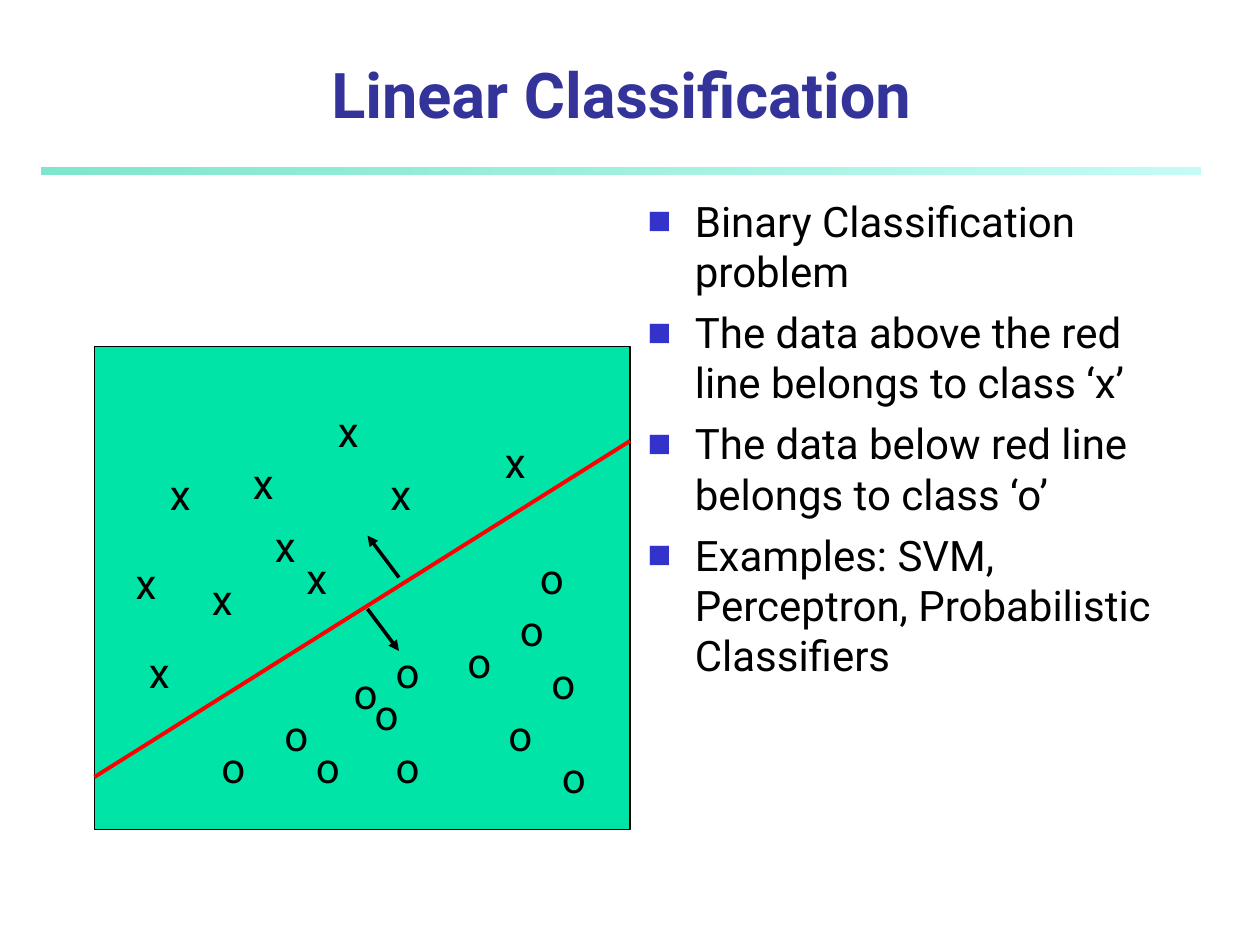
import pptx
import pptx.dml.color
import pptx.enum.shapes
import pptx.enum.text
import pptx.oxml
import pptx.oxml.ns
import pptx.util
from lxml import etree

Pt = pptx.util.Pt
ALIGN = pptx.enum.text.PP_ALIGN
ANCHOR = pptx.enum.text.MSO_ANCHOR
RECTANGLE = pptx.enum.shapes.MSO_SHAPE.RECTANGLE

FONT = "Roboto"
COLORS = {
    "title": "333399",
    "text": "000000",
    "bullet": "3333CC",
    "region": "00E4A8",
    "boundary": "FF0000",
    "rule_left": "00CE98",
    "rule_right": "8FF9EF",
}
POINTS = [
    "Binary Classification problem",
    "The data above the red line belongs to class ‘x’",
    "The data below red line belongs to class ‘o’",
    "Examples: SVM, Perceptron, Probabilistic Classifiers",
]
# Left and top of each sample's label, by class
SAMPLES = {
    "x": [(70.5, 315), (281.5, 246), (137.5, 258), (168, 312), (216, 264),
          (90, 264), (114, 324), (186, 228), (150, 294), (78, 366)],
    "o": [(195, 378), (207, 390), (219, 366), (155.5, 402), (219, 420),
          (283.5, 402), (301.5, 312), (260, 360), (119.5, 420), (173.5, 420),
          (308, 372), (290, 342), (314, 426)],
}
LABEL_WIDTHS = {"x": 26.6, "o": 28.8}


def rgb(name):
    return pptx.dml.color.RGBColor.from_string(COLORS[name])


def add_child(parent, tag, **attributes):
    child = etree.SubElement(parent, pptx.oxml.ns.qn(tag))
    for key, value in attributes.items():
        child.set(key, value)
    return child


def write_text(paragraph, text, size=24, color="text", bold=False, align=ALIGN.LEFT):
    paragraph.text = text
    paragraph.alignment = align
    paragraph.font.name = FONT
    paragraph.font.size = Pt(size)
    paragraph.font.bold = bold
    paragraph.font.color.rgb = rgb(color)


def add_title(slide, text):
    title = slide.shapes.title
    title.left, title.top, title.width, title.height = Pt(24), Pt(30), Pt(662), Pt(48.5)
    title.text_frame.vertical_anchor = ANCHOR.BOTTOM
    write_text(title.text_frame.paragraphs[0], text, size=36, color="title",
               bold=True, align=ALIGN.CENTER)


def add_rectangle(slide, left, top, width, height):
    rectangle = slide.shapes.add_shape(RECTANGLE, Pt(left), Pt(top), Pt(width), Pt(height))
    rectangle.shadow.inherit = False
    return rectangle


def add_rule(slide):
    rule = add_rectangle(slide, 24, 96, 662, 4)
    rule.line.fill.background()
    rule.fill.gradient()
    rule.fill.gradient_angle = 0
    shades = [("rule_left", "50000"), ("rule_right", "52000")]
    for stop, (name, opacity) in zip(rule.fill.gradient_stops, shades):
        stop.color.rgb = rgb(name)
    for tint, (name, opacity) in zip(rule.fill._xPr.iter(pptx.oxml.ns.qn("a:srgbClr")), shades):
        add_child(tint, "a:alpha", val=opacity)


def add_region(slide):
    region = add_rectangle(slide, 54, 198, 306, 276)
    region.fill.solid()
    region.fill.fore_color.rgb = rgb("region")
    region.line.color.rgb = rgb("text")
    region.line.width = Pt(0.75)


def add_line(slide, start, end, color, width, arrow=False):
    line = slide.shapes.add_connector(
        pptx.enum.shapes.MSO_CONNECTOR.STRAIGHT, *map(Pt, start + end))
    line.line.color.rgb = rgb(color)
    line.line.width = Pt(width)
    if arrow:
        add_child(line.line._get_or_add_ln(), "a:tailEnd", type="triangle")
    add_child(line._element.spPr, "a:effectLst")


def add_sample(slide, label, left, top):
    box = slide.shapes.add_textbox(Pt(left), Pt(top), Pt(LABEL_WIDTHS[label]), Pt(36))
    box.text_frame.word_wrap = False
    box.text_frame.auto_size = pptx.enum.text.MSO_AUTO_SIZE.SHAPE_TO_FIT_TEXT
    write_text(box.text_frame.paragraphs[0], label)


def add_bullets(slide, items):
    frame = slide.shapes.add_textbox(Pt(363), Pt(108), Pt(327), Pt(402)).text_frame
    frame.word_wrap = True
    for index, item in enumerate(items):
        paragraph = frame.paragraphs[0] if index == 0 else frame.add_paragraph()
        if index:
            paragraph.space_before = Pt(6)
        properties = paragraph._p.get_or_add_pPr()
        properties.set("marL", str(Pt(27)))
        properties.set("indent", str(-Pt(27)))
        add_child(add_child(properties, "a:buClr"), "a:srgbClr", val=COLORS["bullet"])
        add_child(properties, "a:buSzPct", val="60000")
        add_child(properties, "a:buFont", typeface=FONT)
        add_child(properties, "a:buChar", char="■")
        write_text(paragraph, item)


def main():
    deck = pptx.Presentation()
    deck.slide_width, deck.slide_height = Pt(720), Pt(540)
    slide = deck.slides.add_slide(deck.slide_layouts[5])

    # Heading and explanation
    add_rule(slide)
    add_title(slide, "Linear Classification")
    add_bullets(slide, POINTS)

    # Feature space with its decision boundary
    add_region(slide)
    add_line(slide, (54, 444), (360, 252), "boundary", 2.25)
    for label, places in SAMPLES.items():
        for left, top in places:
            add_sample(slide, label, left, top)

    # Arrows to the two sides of the boundary
    add_line(slide, (228, 330), (210, 306), "text", 2, arrow=True)
    add_line(slide, (210, 348), (228, 372), "text", 2, arrow=True)

    deck.save("out.pptx")


if __name__ == "__main__":
    main()
